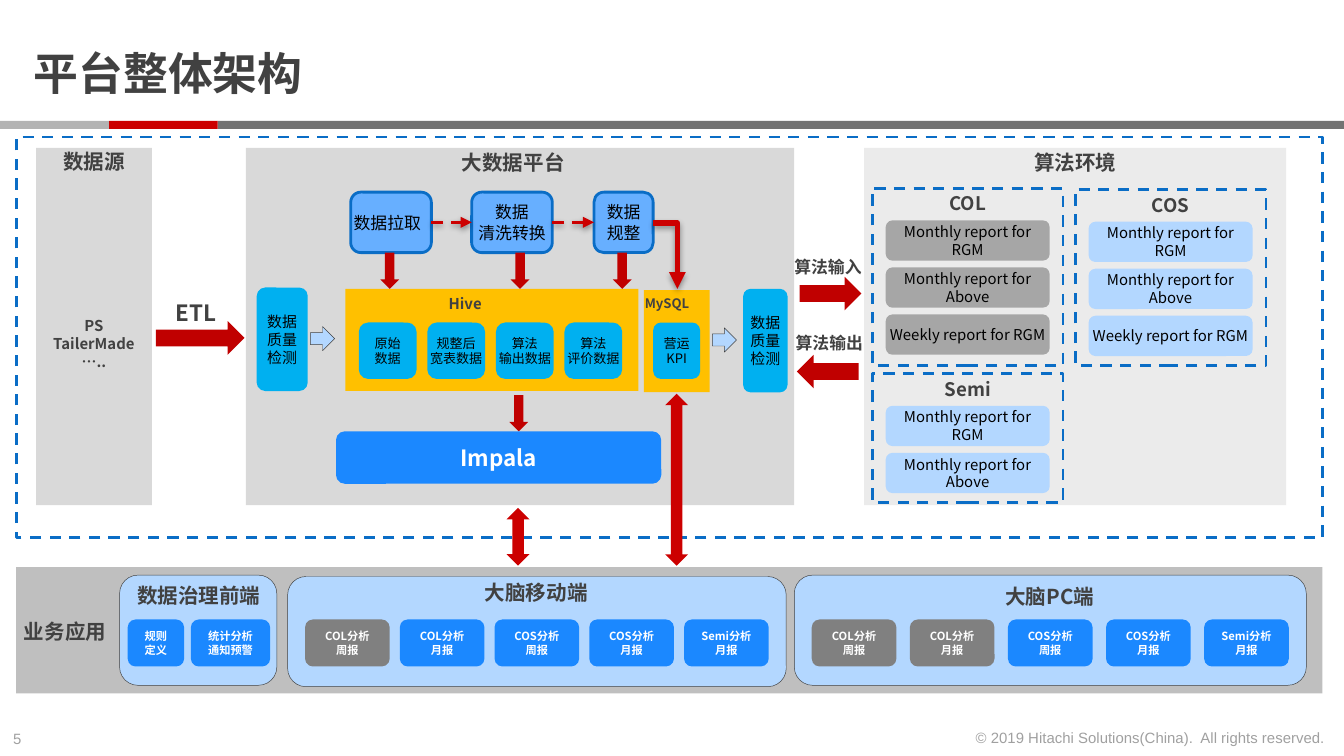
from dataclasses import dataclass

from lxml.etree import SubElement
from pptx import Presentation
from pptx.dml.color import RGBColor
from pptx.enum.dml import MSO_LINE
from pptx.enum.shapes import MSO_CONNECTOR, MSO_SHAPE
from pptx.enum.text import MSO_ANCHOR, PP_ALIGN
from pptx.oxml.ns import qn
from pptx.util import Cm, Pt


@dataclass(frozen=True)
class Theme:
    font: str = "Noto Sans CJK SC"
    footer_font: str = "Arial"
    text: str = "414141"
    black: str = "000000"
    white: str = "FFFFFF"
    muted: str = "A0A0A0"
    red: str = "CC0000"
    arrow: str = "C00000"
    bar_dark: str = "737373"
    bar_light: str = "B3B3B3"
    panel: str = "D9D9D9"
    panel_light: str = "EBEBEB"
    band: str = "BFBFBF"
    report_off: str = "A6A6A6"
    app_off: str = "808080"
    pale: str = "B3D7FF"
    step: str = "67AFFF"
    blue: str = "1B88FF"
    outline: str = "0A6DC6"
    cyan: str = "00B0F0"
    store: str = "FFC000"
    title: int = 24
    engine: int = 12
    heading: int = 11
    group: int = 10
    body: int = 9
    small: int = 8
    cell: int = 7
    app: int = 6


def inches(*values):
    return [Cm(v * 2.54) for v in values]


class Diagram:
    def __init__(self, slide, theme):
        self.s = slide
        self.t = theme

    def set_text(self, sp, text, size, color, bold, align, inset, font=None):
        font = font or self.t.font
        tf = sp.text_frame
        tf.text = text
        if inset is not None:
            tf.margin_left = tf.margin_right = Cm(inset)
            tf.margin_top = tf.margin_bottom = Cm(inset)
        for p in tf.paragraphs:
            p.alignment = align
            for r in p.runs:
                r.font.name = font
                r.font.size = Pt(size)
                r.font.bold = bold
                r.font.color.rgb = RGBColor.from_string(color)
                SubElement(r.font._element, qn("a:ea"), typeface=font)

    def shape(self, kind, at, fill=None, line=None, width=1.5, dash=False):
        sp = self.s.shapes.add_shape(kind, *inches(*at))
        sp.shadow.inherit = False
        if fill:
            sp.fill.solid()
            sp.fill.fore_color.rgb = RGBColor.from_string(fill)
        else:
            sp.fill.background()
        if line:
            sp.line.color.rgb = RGBColor.from_string(line)
            sp.line.width = Pt(width)
            if dash:
                sp.line.dash_style = MSO_LINE.DASH
        else:
            sp.line.fill.background()
        return sp

    def rect(self, at, fill):
        return self.shape(MSO_SHAPE.RECTANGLE, at, fill)

    def frame(self, at):
        return self.shape(MSO_SHAPE.RECTANGLE, at, line=self.t.outline, dash=True)

    def card(self, at):
        return self.shape(MSO_SHAPE.ROUNDED_RECTANGLE, at, self.t.pale, self.t.text, 0.25)

    def box(self, at, fill, text, size, color=None, bold=False, line=None,
            align=PP_ALIGN.CENTER, inset=0):
        sp = self.shape(MSO_SHAPE.ROUNDED_RECTANGLE, at, fill, line)
        self.set_text(sp, text, size, color or self.t.black, bold, align, inset)
        sp.text_frame.vertical_anchor = MSO_ANCHOR.MIDDLE
        sp.text_frame.word_wrap = "\n" not in text
        return sp

    def app(self, at, text, active=True):
        fill = self.t.blue if active else self.t.app_off
        return self.box(at, fill, text, self.t.app, self.t.white, True, inset=None)

    def label(self, at, text, size, color=None, bold=True, align=PP_ALIGN.CENTER,
              wrap=True, inset=None, font=None):
        sp = self.s.shapes.add_textbox(*inches(*at))
        sp.text_frame.word_wrap = wrap
        self.set_text(sp, text, size, color or self.t.text, bold, align, inset, font)
        return sp

    def connector(self, kind, start, end, width):
        c = self.s.shapes.add_connector(kind, *inches(*start, *end))
        c.line.color.rgb = RGBColor.from_string(self.t.red)
        c.line.width = Pt(width)
        SubElement(c.line._get_or_add_ln(), qn("a:tailEnd"), type="triangle")
        effects = SubElement(c._element.spPr, qn("a:effectLst"))
        shadow = SubElement(effects, qn("a:outerShdw"), blurRad="40000", dist="20000",
                            dir="5400000", rotWithShape="0")
        color = SubElement(shadow, qn("a:srgbClr"), val=self.t.black)
        SubElement(color, qn("a:alpha"), val="38000")
        return c

    def link(self, a, b):
        c = self.connector(MSO_CONNECTOR.STRAIGHT, (0, 0), (1, 1), 1.5)
        c.line.dash_style = MSO_LINE.DASH
        c.begin_connect(a, 3)
        c.end_connect(b, 1)

    def elbow(self, start, end):
        c = self.connector(MSO_CONNECTOR.ELBOW, start, end, 3)
        c._element.spPr.find(qn("a:prstGeom")).set("prst", "bentConnector2")


def draw_header(d):
    t = d.t
    d.label((0.25, 0.34, 2.99, 0.36), "平台整体架构", t.title, align=PP_ALIGN.LEFT, inset=0)
    for x, w, fill in ((1.62, 8.38, t.bar_dark), (0.81, 0.81, t.red), (0, 0.81, t.bar_light)):
        d.rect((x, 0.9, w, 0.06), fill)
    d.label((0, 5.38, 0.34, 0.24), "5", t.small, t.muted, False, PP_ALIGN.LEFT,
            False, font=t.footer_font)
    d.label((7.12, 5.37, 2.84, 0.24), "© 2019 Hitachi Solutions(China).  All rights reserved.",
            t.small, t.muted, False, PP_ALIGN.RIGHT, False, font=t.footer_font)


def draw_source(d):
    t = d.t
    d.rect((0.27, 1.1, 0.86, 2.66), t.panel)
    d.label((-0.16, 1.06, 1.72, 0.29), "数据源", t.heading)
    d.label((0.27, 2.31, 0.86, 0.5), "PS\nTailerMade\n…..", t.small)
    d.shape(MSO_SHAPE.RIGHT_ARROW, (1.16, 2.39, 0.66, 0.25), t.arrow)
    d.label((0.6, 2.18, 1.72, 0.3), "ETL", t.engine)


def draw_platform(d):
    t = d.t
    d.rect((1.83, 1.1, 4.08, 2.66), t.panel)
    d.label((2.96, 1.07, 1.72, 0.29), "大数据平台", t.heading)
    d.rect((2.57, 2.15, 2.18, 0.76), t.store)
    d.rect((4.79, 2.16, 0.49, 0.76), t.store)
    d.label((3.24, 2.14, 0.6, 0.24), "Hive", t.small, align=PP_ALIGN.LEFT)
    d.label((4.7, 2.15, 0.68, 0.22), "MySQL", t.cell, align=PP_ALIGN.LEFT)

    pull, clean, shape_up = [
        d.box((x, 1.43, w, 0.45), t.step, text, t.body, line=t.outline, align=align)
        for x, w, text, align in ((2.61, 0.6, "数据拉取", PP_ALIGN.LEFT),
                                  (3.51, 0.6, "数据\n清洗转换", PP_ALIGN.CENTER),
                                  (4.42, 0.44, "数据\n规整", PP_ALIGN.CENTER))]
    d.link(pull, clean)
    d.link(clean, shape_up)
    d.elbow((4.86, 1.66), (5.04, 2.15))
    for x, y in ((2.83, 1.88), (3.8, 1.88), (4.56, 1.88), (3.79, 2.94)):
        d.shape(MSO_SHAPE.DOWN_ARROW, (x, y, 0.14, 0.27), t.arrow)

    tables = ("原始\n数据", "规整后\n宽表数据", "算法\n输出数据", "算法\n评价数据")
    for i, text in enumerate(tables):
        d.box((2.67 + i * 0.51, 2.4, 0.43, 0.42), t.cyan, text, t.cell)
    d.box((4.86, 2.4, 0.35, 0.42), t.cyan, "营运KPI", t.cell)
    for x, y, w in ((1.91, 2.14, 0.38), (5.53, 2.15, 0.33)):
        d.box((x, y, w, 0.77), t.cyan, "数据\n质量\n检测", t.small)
    for x, y in ((2.31, 2.43), (5.3, 2.44)):
        d.shape(MSO_SHAPE.RIGHT_ARROW, (x, y, 0.18, 0.18), t.pale, t.text, 0.25)
    d.box((2.5, 3.21, 2.42, 0.39), t.blue, "Impala", t.engine, t.white, True)


def draw_algorithms(d):
    t = d.t
    d.rect((6.43, 1.1, 3.14, 2.66), t.panel_light)
    d.label((7.14, 1.07, 1.72, 0.29), "算法环境", t.heading)
    d.shape(MSO_SHAPE.RIGHT_ARROW, (5.95, 2.06, 0.46, 0.25), t.arrow)
    d.label((5.3, 1.86, 1.72, 0.25), "算法输入", t.body)
    d.shape(MSO_SHAPE.LEFT_ARROW, (5.93, 2.64, 0.46, 0.25), t.arrow)
    d.label((5.31, 2.43, 1.72, 0.25), "算法输出", t.body)

    reports = ("Monthly report for RGM", "Monthly report for Above", "Weekly report for RGM")
    groups = (("COL", 6.49, 1.4, 1.32, 3, t.report_off),
              ("COS", 8, 1.41, 1.31, 3, t.pale),
              ("Semi", 6.49, 2.78, 0.96, 2, t.pale))
    for name, x, y, h, count, fill in groups:
        for i, text in enumerate(reports[:count]):
            d.box((x + 0.1, y + 0.24 + i * 0.35, 1.22, 0.3), fill, text, t.small)
        d.frame((x, y, 1.42, h))
        d.label((x - 0.15, y - 0.02, 1.72, 0.27), name, t.group)


def draw_applications(d):
    t = d.t
    d.rect((0.12, 4.22, 9.72, 0.94), t.band)
    d.label((-0.19, 4.56, 1.08, 0.29), "业务应用", t.heading, align=PP_ALIGN.RIGHT)
    for x, y, w, label_x, label_y, text in ((0.89, 4.28, 1.17, 0.62, 4.29, "数据治理前端"),
                                            (2.14, 4.29, 3.71, 3.13, 4.27, "大脑移动端"),
                                            (5.91, 4.28, 3.81, 6.95, 4.3, "大脑PC端")):
        d.card((x, y, w, 0.82))
        d.label((label_x, label_y, 1.72, 0.29), text, t.heading)
    d.app((0.95, 4.61, 0.42, 0.35), "规则定义")
    d.app((1.42, 4.61, 0.59, 0.35), "统计分析\n通知预警")

    names = ("COL分析\n周报", "COL分析\n月报", "COS分析\n周报", "COS分析\n月报", "Semi分析\n月报")
    for left, right, inactive in ((2.27, 5.09, 1), (6.04, 8.96, 2)):
        pitch = (right - left) / (len(names) - 1)
        for i, text in enumerate(names):
            d.app((left + i * pitch, 4.61, 0.63, 0.35), text, i >= inactive)
    for x, y, h in ((3.77, 3.78, 0.43), (4.95, 2.93, 1.28)):
        d.shape(MSO_SHAPE.UP_DOWN_ARROW, (x, y, 0.17, h), t.red)


def main():
    prs = Presentation()
    prs.slide_width, prs.slide_height = Cm(25.4), Cm(14.29)
    d = Diagram(prs.slides.add_slide(prs.slide_layouts[6]), Theme())
    draw_header(d)
    draw_source(d)
    draw_platform(d)
    draw_algorithms(d)
    d.frame((0.12, 1.02, 9.72, 2.98))
    draw_applications(d)
    prs.save("out.pptx")


if __name__ == "__main__":
    main()
